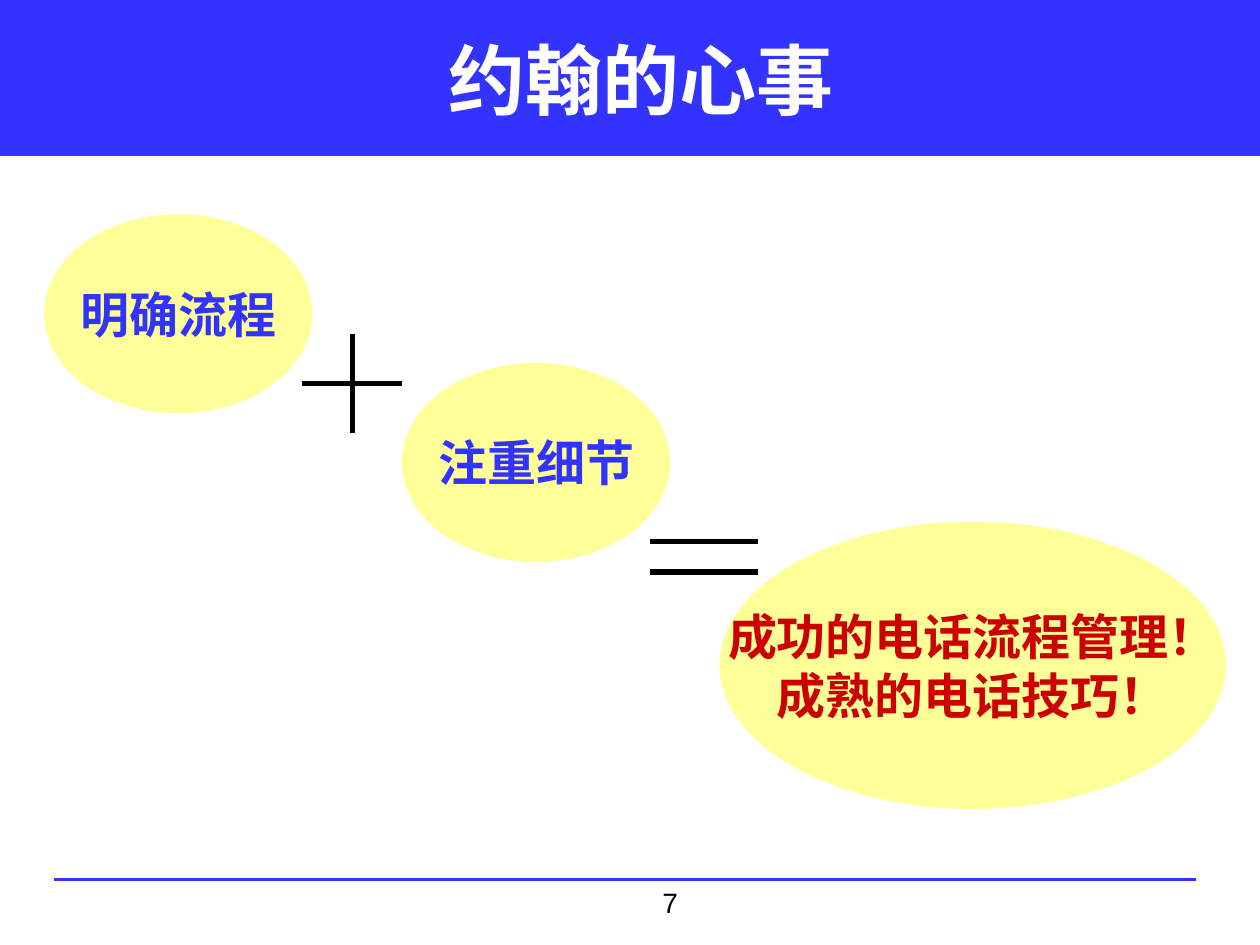
from lxml.etree import SubElement
from pptx import Presentation
from pptx.dml.color import RGBColor
from pptx.enum.shapes import MSO_CONNECTOR, MSO_SHAPE
from pptx.enum.text import MSO_ANCHOR, PP_ALIGN
from pptx.oxml.ns import qn
from pptx.util import Inches, Pt

COLORS = {
    "blue": "3333FF",
    "yellow": "FFFF99",
    "red": "CC0000",
    "black": "000000",
    "white": "FFFFFF",
}


def color(name):
    """Return the named palette colour."""
    return RGBColor.from_string(COLORS[name])


def write(shape, lines, size, tone, bold=True, align=PP_ALIGN.CENTER, wrap=True):
    """Write one paragraph per line into a shape."""
    frame = shape.text_frame
    frame.word_wrap = wrap
    frame.vertical_anchor = MSO_ANCHOR.MIDDLE
    frame.text = "\n".join(lines)
    for para in frame.paragraphs:
        para.alignment = align
        para.font.name = "Arial"
        para.font.size = Pt(size)
        para.font.bold = bold
        para.font.color.rgb = color(tone)


def add_filled(page, kind, box, fill):
    """Add a plain filled shape without outline or shadow."""
    shape = page.shapes.add_shape(kind, *map(Inches, box))
    shape.shadow.inherit = False
    shape.fill.solid()
    shape.fill.fore_color.rgb = color(fill)
    shape.line.fill.background()
    return shape


def add_line(page, start, end, tone="black", width=3):
    """Draw a straight line without shadow."""
    line = page.shapes.add_connector(
        MSO_CONNECTOR.STRAIGHT, *map(Inches, (*start, *end))
    )
    line.line.color.rgb = color(tone)
    line.line.width = Pt(width)
    SubElement(line._element.spPr, qn("a:effectLst"))


def add_header(page, box, title):
    """Add the blue banner and its title."""
    left, top, width, height = box
    banner = add_filled(page, MSO_SHAPE.RECTANGLE, box, "blue")
    banner.line.color.rgb = color("blue")
    banner.line.width = Pt(0.75)
    heading = page.shapes.add_textbox(
        *map(Inches, (left + 0.59, top, width - 1, height + 0.02))
    )
    write(heading, [title], 44, "white")


def add_footer(page, box, number):
    """Add the footer rule and the page number."""
    left, top, width, height = box
    add_line(page, (left, top), (left + width, top), "blue", 2.25)
    label = page.shapes.add_textbox(*map(Inches, (left + 4.73, top, 0.63, height)))
    write(label, [number], 16, "black", bold=False, align=PP_ALIGN.LEFT)


def add_idea(page, box, lines, tone="blue"):
    """Add a yellow ellipse holding an idea."""
    ellipse = add_filled(page, MSO_SHAPE.OVAL, box, "yellow")
    write(ellipse, lines, 28, tone, wrap=False)


def add_plus(page, box):
    """Draw a plus sign that fills the box."""
    left, top, width, height = box
    middle_x, middle_y = left + width / 2, top + height / 2
    add_line(page, (left, middle_y), (left + width, middle_y))
    add_line(page, (middle_x, top), (middle_x, top + height))


def add_equals(page, box):
    """Draw an equals sign along the top and bottom of the box."""
    left, top, width, height = box
    for y in (top, top + height):
        add_line(page, (left, y), (left + width, y))


def main():
    """Build and save the deck."""
    deck = Presentation()
    deck.slide_width, deck.slide_height = Inches(10), Inches(7.5)
    page = deck.slides.add_slide(deck.slide_layouts[6])
    add_header(page, (0, 0, 10, 1.23), "约翰的心事")
    add_footer(page, (0.43, 6.98, 9.06, 0.37), "7")
    add_idea(page, (0.35, 1.7, 2.13, 1.58), ["明确流程"])
    add_idea(
        page,
        (5.71, 4.14, 4.02, 2.28),
        ["成功的电话流程管理！", "成熟的电话技巧！"],
        "red",
    )
    add_idea(page, (3.19, 2.88, 2.13, 1.58), ["注重细节"])
    add_plus(page, (2.4, 2.65, 0.79, 0.79))
    add_equals(page, (5.16, 4.3, 0.86, 0.24))
    deck.save("out.pptx")


if __name__ == "__main__":
    main()
